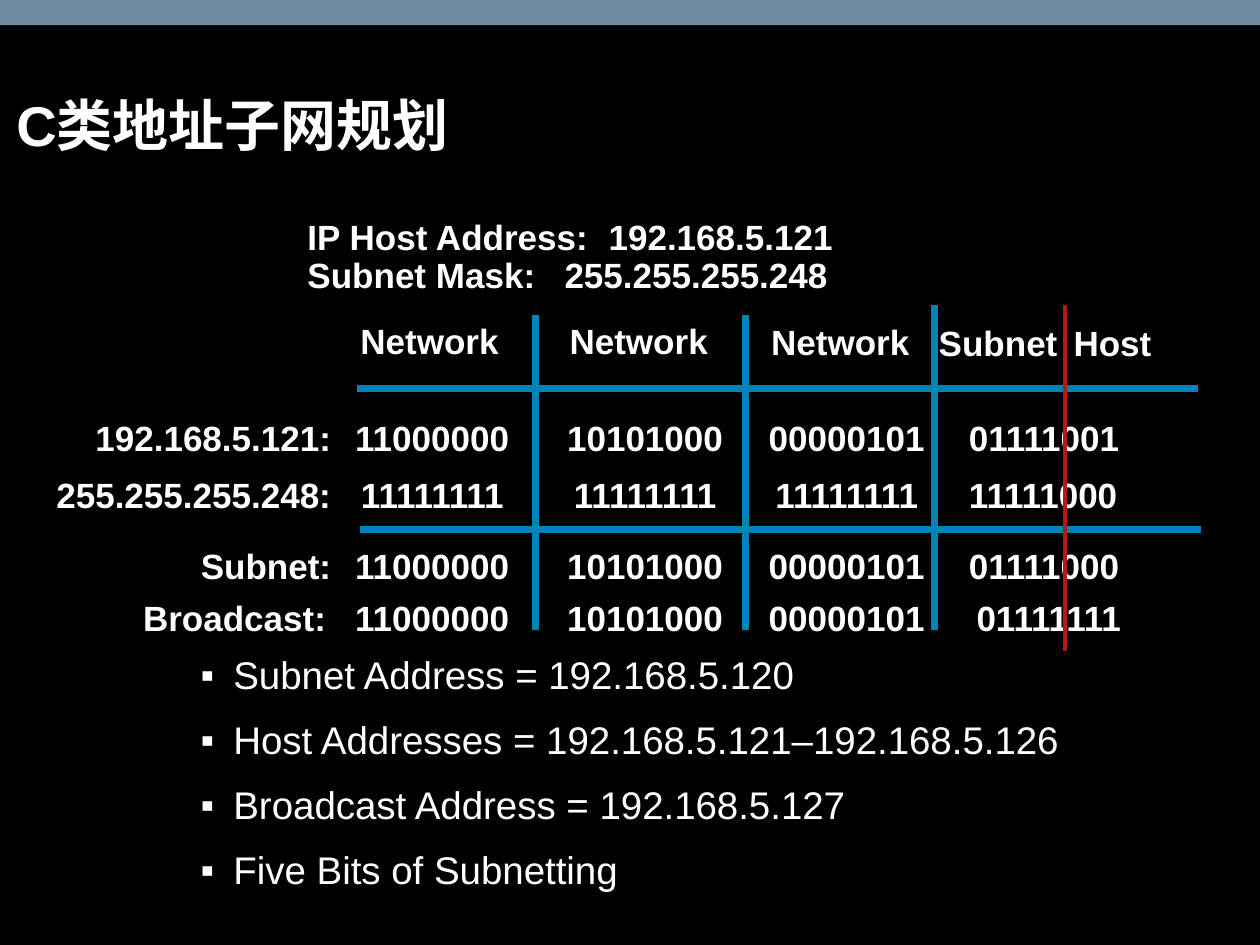
from lxml.etree import SubElement
from pptx import Presentation
from pptx.dml.color import RGBColor
from pptx.enum.shapes import MSO_CONNECTOR as CONN, MSO_SHAPE as SHAPE
from pptx.enum.text import MSO_ANCHOR as ANCHOR, MSO_AUTO_SIZE as FIT, PP_ALIGN as AL
from pptx.oxml.ns import qn
from pptx.util import Inches, Pt

COLORS = {"bg": "000000", "band": "708CA1", "text": "FFFFFF",
          "rule": "0183B7", "split": "B21A1A"}
W, H = 10, 7.5

# Content
TITLE = "C类地址子网规划"
ADDRESSES = [("IP Host Address:\t192.168.5.121", 2.39),  # text, tab stop
             ("Subnet Mask:\t255.255.255.248", 2.04)]
HEADERS = [("Network", 2.84, 2.51), ("Network", 4.5, 2.51), ("Network", 6.1, 2.52),
           ("Subnet", 7.43, 2.53), ("Host", 8.5, 2.53)]  # text, left, top
ROWS = [  # label, label's right edge, top, line spacing, octets, last octet's left
    ("192.168.5.121:", 2.65, 3.31, 21.4,
     ["11000000", "10101000", "00000101", "01111001"], 7.67),
    ("255.255.255.248:", 2.65, 3.78, 20.2,
     ["11111111", "11111111", "11111111", "11111000"], 7.67),
    ("Subnet:", 2.65, 4.33, 21.4,
     ["11000000", "10101000", "00000101", "01111000"], 7.67),
    ("Broadcast:", 2.61, 4.74, 21.4,
     ["11000000", "10101000", "00000101", "01111111"], 7.73),
]
OCTET_CENTERS = [3.43, 5.12, 6.72]
OCTET_W, ROW_H, LABEL_W = 1.41, 0.42, 2.5
LINES = [  # x1, y1, x2, y2, colour, width
    (4.25, 2.5, 4.25, 5, "rule", 4),
    (5.92, 2.5, 5.92, 5, "rule", 4),
    (7.42, 2.42, 7.42, 5, "rule", 4),
    (2.83, 3.08, 9.51, 3.08, "rule", 4),
    (2.86, 4.2, 9.53, 4.2, "rule", 4),
    (8.45, 2.42, 8.45, 5.17, "split", 2.25),
]
BULLETS = ["Subnet Address = 192.168.5.120",
           "Host Addresses = 192.168.5.121–192.168.5.126",
           "Broadcast Address = 192.168.5.127",
           "Five Bits of Subnetting"]


def rgb(name):
    return RGBColor.from_string(COLORS[name])


def setup(tf, anchor, mx, my):
    tf.word_wrap = True
    tf.auto_size = FIT.NONE
    tf.vertical_anchor = anchor
    tf.margin_left = tf.margin_right = Inches(mx)
    tf.margin_top = tf.margin_bottom = Inches(my)


def style(p, size, bold, spacing, align=AL.LEFT):
    p.alignment = align
    p.line_spacing = spacing
    for r in p.runs:
        r.font.name = "Arial"
        r.font.size = Pt(size)
        r.font.bold = bold
        r.font.color.rgb = rgb("text")


def add_box(s, x, y, w, h, text, anchor=ANCHOR.TOP, mx=0.02, my=0.03):
    tf = s.shapes.add_textbox(*map(Inches, (x, y, w, h))).text_frame
    setup(tf, anchor, mx, my)
    tf.text = text
    return tf


def add_label(s, x, y, w, h, text, spacing, align=AL.LEFT):
    tf = add_box(s, x, y, w, h, text)
    style(tf.paragraphs[0], 20, True, Pt(spacing), align)


def add_tab(p, pos):
    tabs = SubElement(p._p.get_or_add_pPr(), qn("a:tabLst"))
    SubElement(tabs, qn("a:tab"), pos=str(Inches(pos)), algn="l")


def add_bullet(p, indent):
    pPr = p._p.get_or_add_pPr()
    pPr.set("marL", str(Inches(indent)))
    pPr.set("indent", str(-Inches(indent)))
    clr = SubElement(pPr, qn("a:buClr"))
    SubElement(clr, qn("a:srgbClr"), val=COLORS["text"])
    SubElement(pPr, qn("a:buFont"), typeface="Arial")
    SubElement(pPr, qn("a:buChar"), char="▪")


def add_line(s, x1, y1, x2, y2, color, width):
    ln = s.shapes.add_connector(CONN.STRAIGHT, *map(Inches, (x1, y1, x2, y2)))
    ln.line.color.rgb = rgb(color)
    ln.line.width = Pt(width)
    SubElement(ln._element.spPr, qn("a:effectLst"))


def main():
    prs = Presentation()
    prs.slide_width, prs.slide_height = Inches(W), Inches(H)
    s = prs.slides.add_slide(prs.slide_layouts[5])
    s.background.fill.solid()
    s.background.fill.fore_color.rgb = rgb("bg")

    # Top band
    band = s.shapes.add_shape(SHAPE.RECTANGLE, 0, 0, Inches(W), Inches(0.2))
    band.shadow.inherit = False
    band.fill.solid()
    band.fill.fore_color.rgb = rgb("band")
    band.line.fill.background()

    # Title
    title = s.shapes.title
    title.left, title.top, title.width, title.height = map(Inches, (0.04, 0.05, 8.7, 1.25))
    setup(title.text_frame, ANCHOR.BOTTOM, 0.09, 0.04)
    title.text_frame.text = TITLE
    style(title.text_frame.paragraphs[0], 32, True, 0.9)

    # Address and mask
    tf = add_box(s, 2.42, 1.72, 4.92, 0.7, "\n".join(t for t, _ in ADDRESSES))
    for p, (_, tab) in zip(tf.paragraphs, ADDRESSES):
        add_tab(p, tab)
        style(p, 20, True, Pt(21.4))

    # Binary grid
    for text, x, y in HEADERS:
        add_label(s, x, y, OCTET_W, 0.58, text, 23.6)
    for label, right, y, spacing, octets, last_x in ROWS:
        add_label(s, right - LABEL_W, y, LABEL_W, ROW_H, label, spacing, AL.RIGHT)
        for cx, bits in zip(OCTET_CENTERS, octets):
            add_label(s, cx - OCTET_W / 2, y, OCTET_W, ROW_H, bits, spacing, AL.CENTER)
        add_label(s, last_x, y, OCTET_W, ROW_H, octets[-1], spacing)
    for line in LINES:
        add_line(s, *line)

    # Results, with the block of text centred in its box
    tf = add_box(s, 0.5, 5.37, 9, 1.54, "\n".join(BULLETS), ANCHOR.MIDDLE, 0.09, 0.04)
    tf._txBody.bodyPr.set("anchorCtr", "1")
    for i, p in enumerate(tf.paragraphs):
        add_bullet(p, 0.26)
        style(p, 22, False, 0.95)
        if i:
            p.space_before = Pt(12)

    prs.save("out.pptx")


if __name__ == "__main__":
    main()
